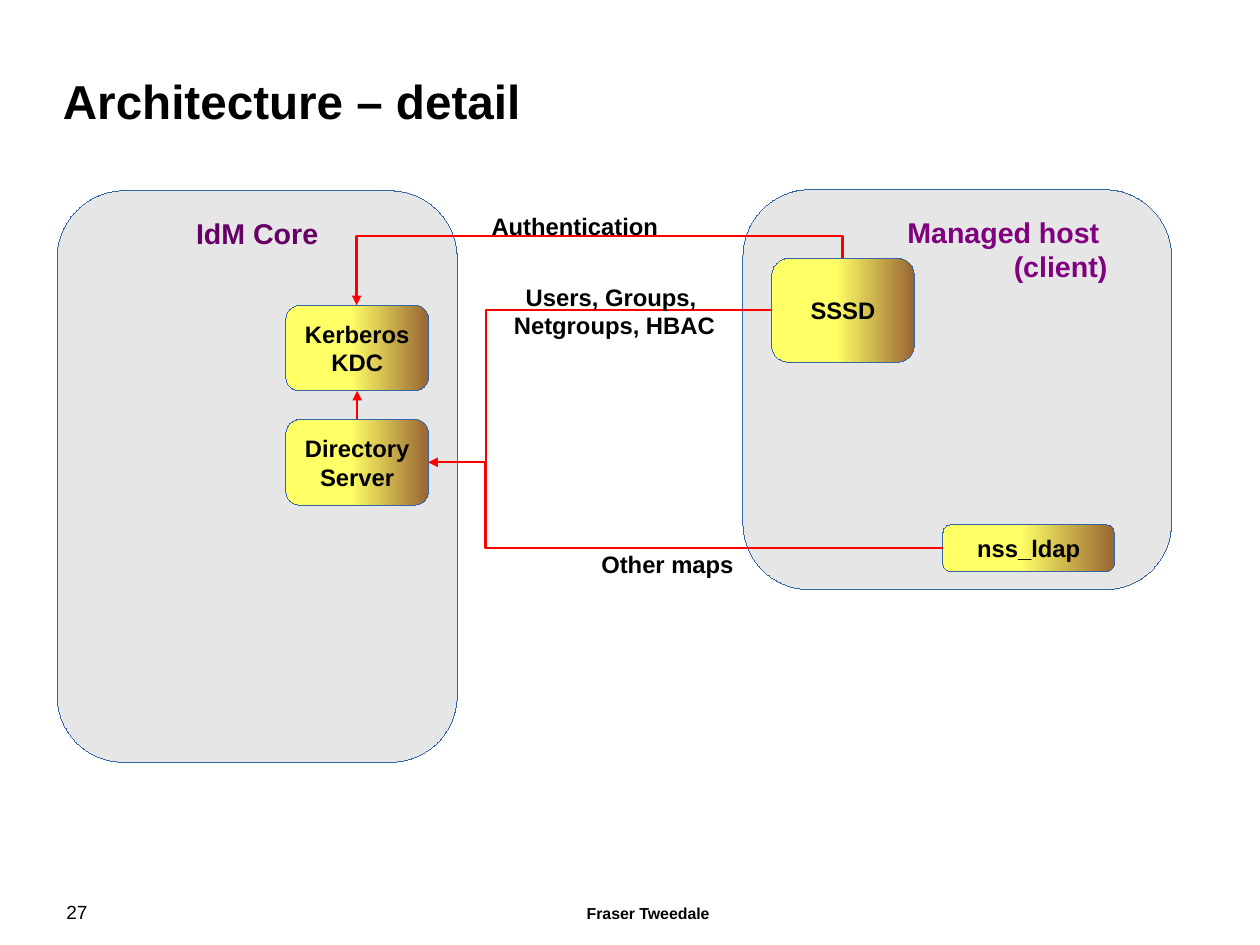
from lxml import etree
from pptx import Presentation
from pptx.dml.color import RGBColor
from pptx.enum.shapes import MSO_CONNECTOR as Conn, MSO_SHAPE as Shape
from pptx.enum.text import MSO_ANCHOR as Anchor, PP_ALIGN as Align
from pptx.oxml.ns import qn
from pptx.util import Inches, Pt

BLACK = RGBColor(0x00, 0x00, 0x00)
GREY = RGBColor(0xE6, 0xE6, 0xE6)
BLUE = RGBColor(0x34, 0x65, 0xA4)
RED = RGBColor(0xFF, 0x00, 0x00)
YELLOW = RGBColor(0xFF, 0xFF, 0x66)
BROWN = RGBColor(0x99, 0x66, 0x33)
PLUM = RGBColor(0x66, 0x00, 0x66)
PURPLE = RGBColor(0x80, 0x00, 0x80)
CM_PER_INCH = 2.54


def write(s, text, size, color=BLACK, bold=True, align=Align.CENTER,
          anchor=Anchor.TOP, wrap=False, margins=(0.1, 0.05, 0.1, 0.05)):
    """Fill the shape with one paragraph for each line of text."""
    tf = s.text_frame
    tf.word_wrap = wrap
    tf.vertical_anchor = anchor
    for side, margin in zip(("left", "top", "right", "bottom"), margins):
        setattr(tf, f"margin_{side}", Inches(margin))
    for i, line in enumerate(text.split("\n")):
        p = tf.add_paragraph() if i else tf.paragraphs[0]
        p.alignment = align
        r = p.add_run()
        r.text = line
        look = {"name": "Arial", "size": Pt(size), "bold": bold}
        for key, value in look.items():
            setattr(r.font, key, value)
        r.font.color.rgb = color


def add_box(left, top, width, height):
    s = slide.shapes.add_shape(Shape.ROUNDED_RECTANGLE, Inches(left), Inches(top),
                               Inches(width), Inches(height))
    s.adjustments[0] = 0.167
    s.shadow.inherit = False
    s.line.color.rgb = BLUE
    s.line.width = Pt(0.01)
    return s


prs = Presentation()
prs.slide_width, prs.slide_height = Inches(28 / CM_PER_INCH), Inches(21 / CM_PER_INCH)
slide = prs.slides.add_slide(prs.slide_layouts[6])

# Title and footer
for text, at, look in [
    ("27", (0.58, 7.88, 1.25, 0.25), {"size": 12, "bold": False, "align": Align.LEFT}),
    ("Fraser Tweedale", (1.74, 7.91, 7.86, 0.25), {"size": 10}),
    ("Architecture – detail", (0.55, 0.25, 9.92, 1.25),
     {"size": 30, "align": Align.LEFT, "anchor": Anchor.MIDDLE}),
]:
    s = slide.shapes.add_textbox(*map(Inches, at))
    write(s, text, wrap=True, margins=(0, 0, 0, 0), **look)

# Hosts
for text, at, look in [
    ("IdM Core", (0.5, 1.67, 3.5, 5), {"color": PLUM}),
    ("Managed host \n(client)", (6.5, 1.66, 3.75, 3.5),
     {"color": PURPLE, "align": Align.RIGHT, "wrap": True,
      "margins": (0.1, 0.05, 0.39, 0.05)}),
]:
    s = add_box(*at)
    s.fill.solid()
    s.fill.fore_color.rgb = GREY
    write(s, text, 18, **look)

# Services
services = {}
for text, at in [
    ("Directory\nServer", (2.5, 3.67, 1.25, 0.75)),
    ("Kerberos\nKDC", (2.5, 2.67, 1.25, 0.75)),
    ("SSSD", (6.75, 2.26, 1.25, 0.91)),
    ("nss_ldap", (8.25, 4.59, 1.5, 0.41)),
]:
    s = add_box(*at)
    s.fill.gradient()
    s.fill.gradient_angle = 0
    for stop, position, color in zip(s.fill.gradient_stops, (0.45, 1), (YELLOW, BROWN)):
        stop.position = position
        stop.color.rgb = color
    write(s, text, 15, anchor=Anchor.MIDDLE)
    services[text.split("\n")[0]] = s

# Arrows: kind, ends, joined sides, bend as a share of the length, rotation
directory, kerberos = services["Directory"], services["Kerberos"]
sssd, nss_ldap = services["SSSD"], services["nss_ldap"]
for kind, ends, joins, bend, turn in [
    (Conn.ELBOW, (5.04, 0.34, 5.45, 4.59), None, -0.478, 90),
    (Conn.STRAIGHT, (3.12, 3.67, 3.12, 3.42), (directory, 0, kerberos, 2), None, 0),
    (Conn.ELBOW, (8.25, 4.8, 3.75, 4.05), (nss_ldap, 1, directory, 3), 0.889, 0),
    (Conn.ELBOW, (6.75, 2.72, 3.75, 4.05), (sssd, 1, directory, 3), 0.833, 0),
]:
    c = slide.shapes.add_connector(kind, *map(Inches, ends))
    if joins:
        c.begin_connect(*joins[:2])
        c.end_connect(*joins[2:])
    c.line.color.rgb = RED
    c.line.width = Pt(1.45)
    sp_pr = c._element.spPr
    if turn:
        sp_pr.find(qn("a:xfrm")).set("rot", str(turn * 60000))
    if bend is not None:
        etree.SubElement(sp_pr.find(qn("a:prstGeom")).find(qn("a:avLst")), qn("a:gd"),
                         name="adj1", fmla=f"val {round(bend * 100000)}")
    etree.SubElement(sp_pr.find(qn("a:ln")), qn("a:tailEnd"), type="triangle")
    etree.SubElement(sp_pr, qn("a:effectLst"))

# Arrow labels
for text, at in [
    ("Other maps", (5.16, 4.76, 1.36, 0.33)),
    ("Authentication", (4.2, 1.8, 1.66, 0.33)),
    ("Users, Groups, \nNetgroups, HBAC", (4.25, 2.42, 2.25, 0.56)),
]:
    write(slide.shapes.add_textbox(*map(Inches, at)), text, 15)

prs.save("out.pptx")
